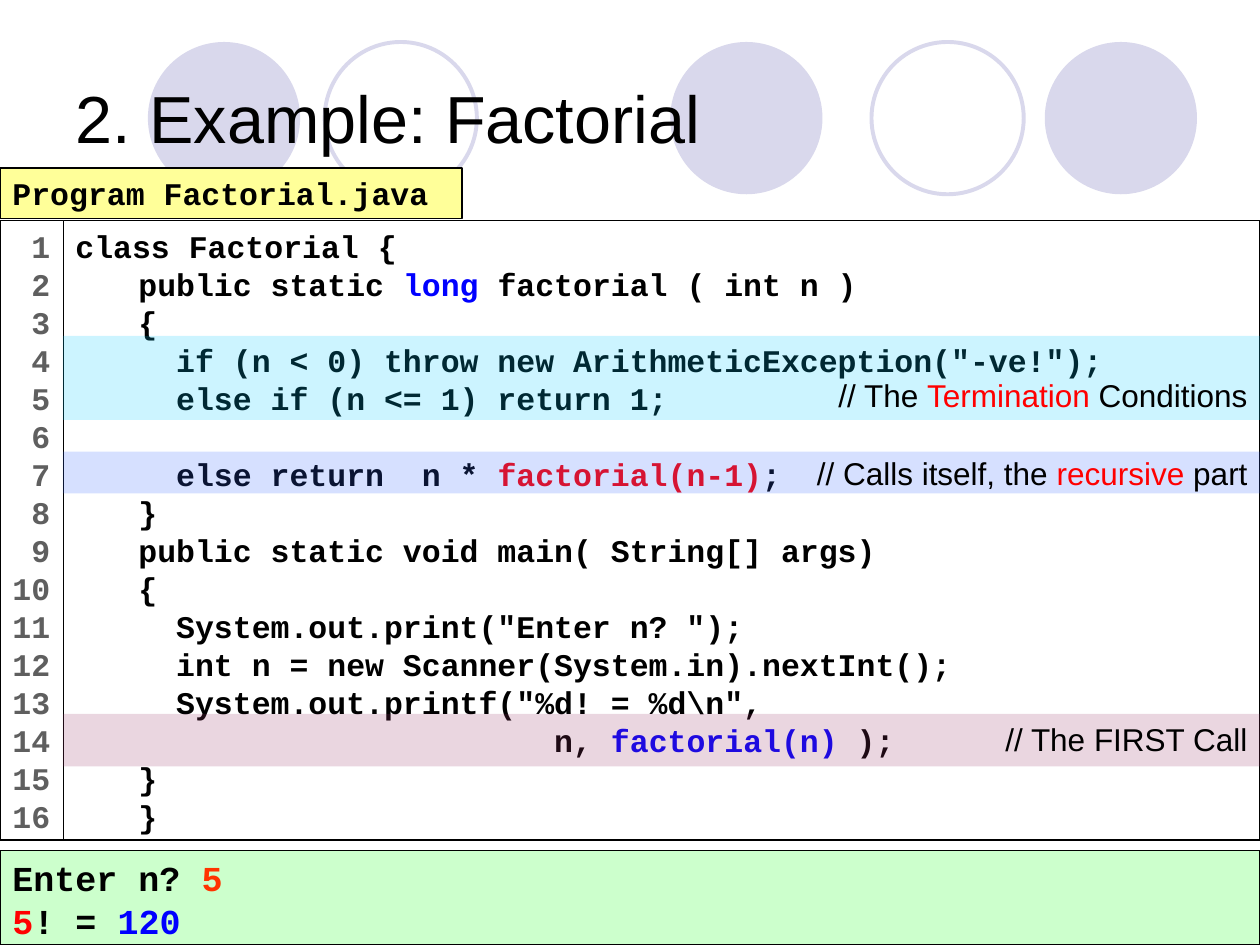
import pptx
import pptx.util
import pptx.dml.color
import pptx.enum.shapes
import pptx.enum.text
import pptx.oxml

Pt = pptx.util.Pt
SHAPE = pptx.enum.shapes.MSO_SHAPE
ALIGN = pptx.enum.text.PP_ALIGN
ANCHOR = pptx.enum.text.MSO_ANCHOR

BLACK, WHITE, GREY = "000000", "FFFFFF", "5F5F5F"
RED, BLUE, ORANGE, LILAC = "FF0000", "0000FF", "FF3300", "D9D8EC"

# Content: a line is a string, or a list of strings and (text, colour) pairs
TITLE = "2. Example: Factorial"
PROGRAM = ["Program Factorial.java"]
CODE = [
    "class Factorial {",
    ["public static ", ("long ", BLUE), "factorial ( int n )"],
    "{",
    '  if (n < 0) throw new ArithmeticException("-ve!");',
    "  else if (n <= 1) return 1;",
    "",
    ["  else return  n * ", ("factorial(n-1)", RED), ";"],
    "}",
    "public static void main( String[] args)",
    "{",
    '  System.out.print("Enter n? ");',
    "  int n = new Scanner(System.in).nextInt();",
    '  System.out.printf("%d! = %d\\n",',
    ["                      n, ", ("factorial(n)", BLUE), " );"],
    "}",
    "}",
]
NUMBERS = [f"{i:2d}" for i in range(1, len(CODE) + 1)]
OUTPUT = [
    ["Enter n? ", ("5", ORANGE)],
    [("5", RED), "! = ", ("120", BLUE)],
]
# Comment bands: top, height, colour, anchor, line
BANDS = [
    (258, 24, "3366FF", ANCHOR.MIDDLE,
     ["// Calls itself, the ", ("recursive", RED), " part"]),
    (192, 48, "00CCFF", ANCHOR.BOTTOM,
     ["// The ", ("Termination", RED), " Conditions"]),
    (408, 30, "993366", ANCHOR.TOP, ["// The FIRST Call"]),
]
# Circles: left, filled
CIRCLES = [(383, True), (597, True), (84.5, True), (498, False), (185.5, False)]

# Layout
WIDTH, HEIGHT = 720, 540
GUTTER = 36
CODE_TOP, CODE_HEIGHT = 126, 354
LINE_RATIO = 1.204


def rgb(colour):
    return pptx.dml.color.RGBColor.from_string(colour)


def apply(obj, values):
    for name, value in values.items():
        setattr(obj, name, value)


def add_shape(kind, box, fill=None, line=None, weight=0.75, alpha=None):
    sp = s.shapes.add_shape(kind, *(Pt(v) for v in box))
    sp.shadow.inherit = False
    if fill:
        sp.fill.solid()
        sp.fill.fore_color.rgb = rgb(fill)
    else:
        sp.fill.background()
    if line:
        sp.line.color.rgb = rgb(line)
        sp.line.width = Pt(weight)
    else:
        sp.line.fill.background()
    if alpha:
        clr = sp.fill._xPr.find(".//" + pptx.oxml.ns.qn("a:srgbClr"))
        node = pptx.oxml.parse_xml(
            f'<a:alpha {pptx.oxml.ns.nsdecls("a")} val="{alpha * 1000}"/>')
        clr.append(node)
    return sp


def write(sp, lines, size=18, font="Courier New", bold=True, colour=BLACK,
          align=ALIGN.LEFT, anchor=ANCHOR.TOP, right=7.2, indent=0, spaced=True):
    tf = sp.text_frame
    apply(tf, {"word_wrap": True, "vertical_anchor": anchor,
               "margin_left": Pt(7.2), "margin_right": Pt(right),
               "margin_top": Pt(3.6), "margin_bottom": Pt(3.6)})
    for i, line in enumerate(lines):
        p = tf.add_paragraph() if i else tf.paragraphs[0]
        p.alignment = align
        if spaced:
            p.line_spacing = Pt(round(size * LINE_RATIO, 1))
        if i and indent:
            p.level = 1
            p._p.get_or_add_pPr().set("marL", str(Pt(indent)))
            p._p.get_or_add_pPr().set("indent", "0")
        for part in [line] if isinstance(line, str) else line:
            text, ink = (part, colour) if isinstance(part, str) else part
            if text:
                r = p.add_run()
                r.text = text
                apply(r.font, {"size": Pt(size), "name": font, "bold": bold})
                r.font.color.rgb = rgb(ink)


prs = pptx.Presentation()
apply(prs, {"slide_width": Pt(WIDTH), "slide_height": Pt(HEIGHT)})
s = prs.slides.add_slide(prs.slide_layouts[5])

# Background circles
for left, filled in CIRCLES:
    add_shape(SHAPE.OVAL, (left, 24, 87, 87), LILAC if filled else None,
              None if filled else LILAC, 2.25)

# Title, in front of the circles
title = s.shapes.title
apply(title, {"left": Pt(36), "top": Pt(21.6), "width": Pt(648), "height": Pt(90)})
s.shapes._spTree.append(title._element)
write(title, [TITLE], 38, "Arial", False, anchor=ANCHOR.MIDDLE, spaced=False)

# Code listing with line numbers
sp = add_shape(SHAPE.RECTANGLE, (GUTTER, CODE_TOP, WIDTH - GUTTER, CODE_HEIGHT),
               WHITE, BLACK)
write(sp, CODE, indent=36)
sp = add_shape(SHAPE.RECTANGLE, (0, CODE_TOP, GUTTER + 0.5, CODE_HEIGHT), WHITE, BLACK)
write(sp, NUMBERS, colour=GREY, right=0)

# Program output and file name
sp = add_shape(SHAPE.RECTANGLE, (0, 486, WIDTH, 54), "CCFFCC", BLACK)
write(sp, OUTPUT, size=20)
sp = add_shape(SHAPE.RECTANGLE, (0, 96, 264, 29), "FFFF99", BLACK)
write(sp, PROGRAM)

# Highlight bands with comments
for top, height, colour, anchor, line in BANDS:
    sp = add_shape(SHAPE.RECTANGLE, (GUTTER, top, WIDTH - GUTTER, height),
                   colour, alpha=20)
    write(sp, [line], font="Arial", bold=False, align=ALIGN.RIGHT,
          anchor=anchor, spaced=False)

prs.save("out.pptx")
